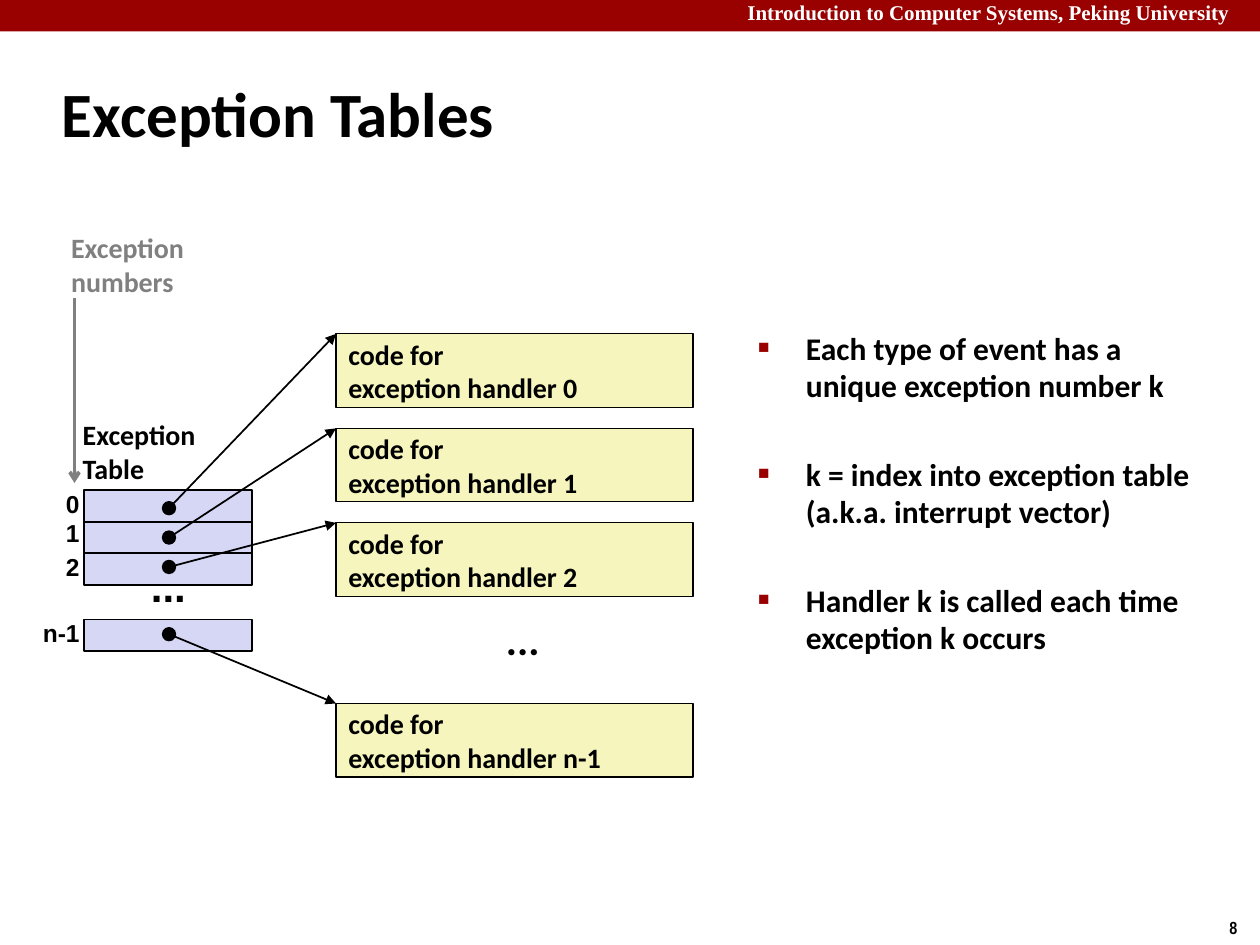
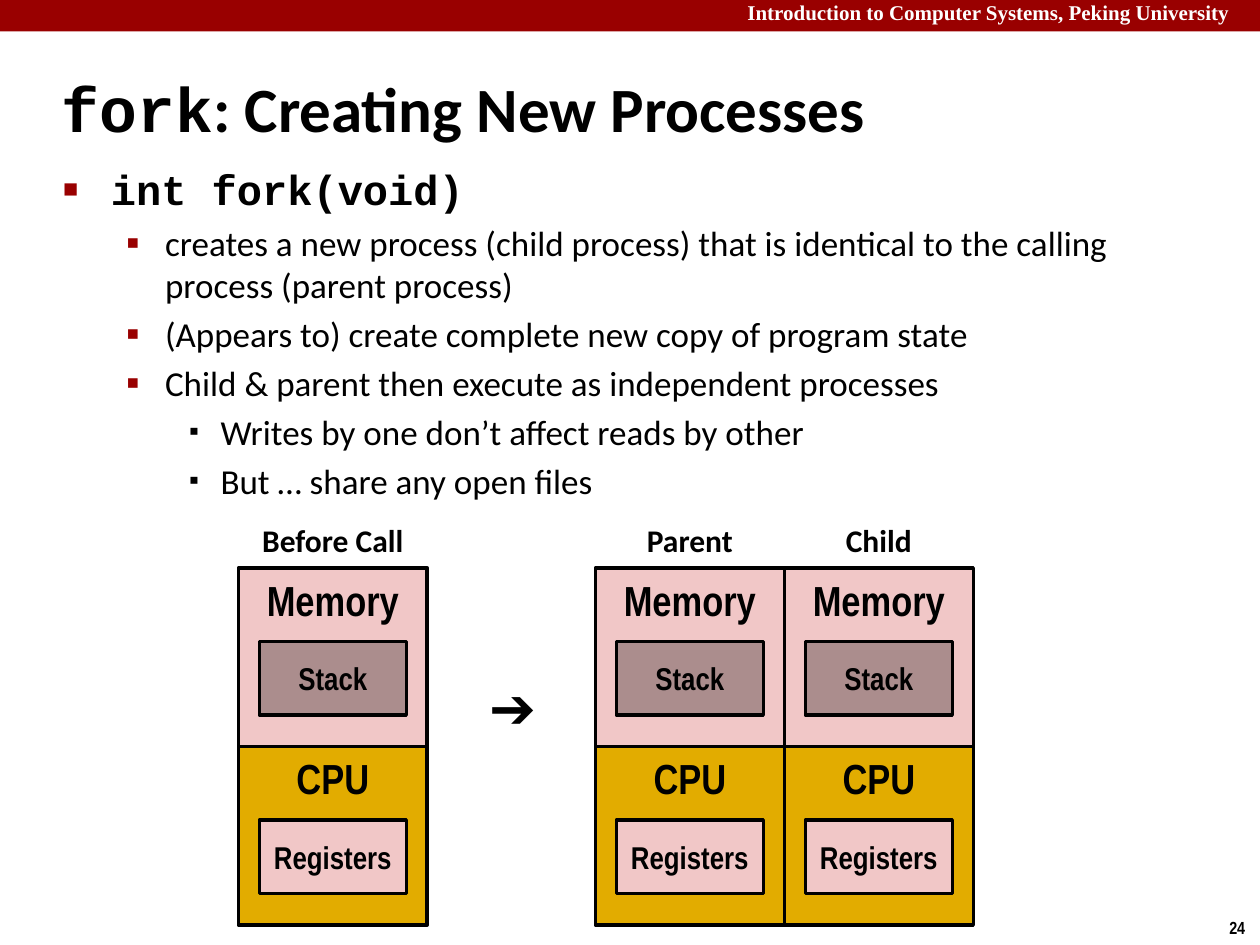
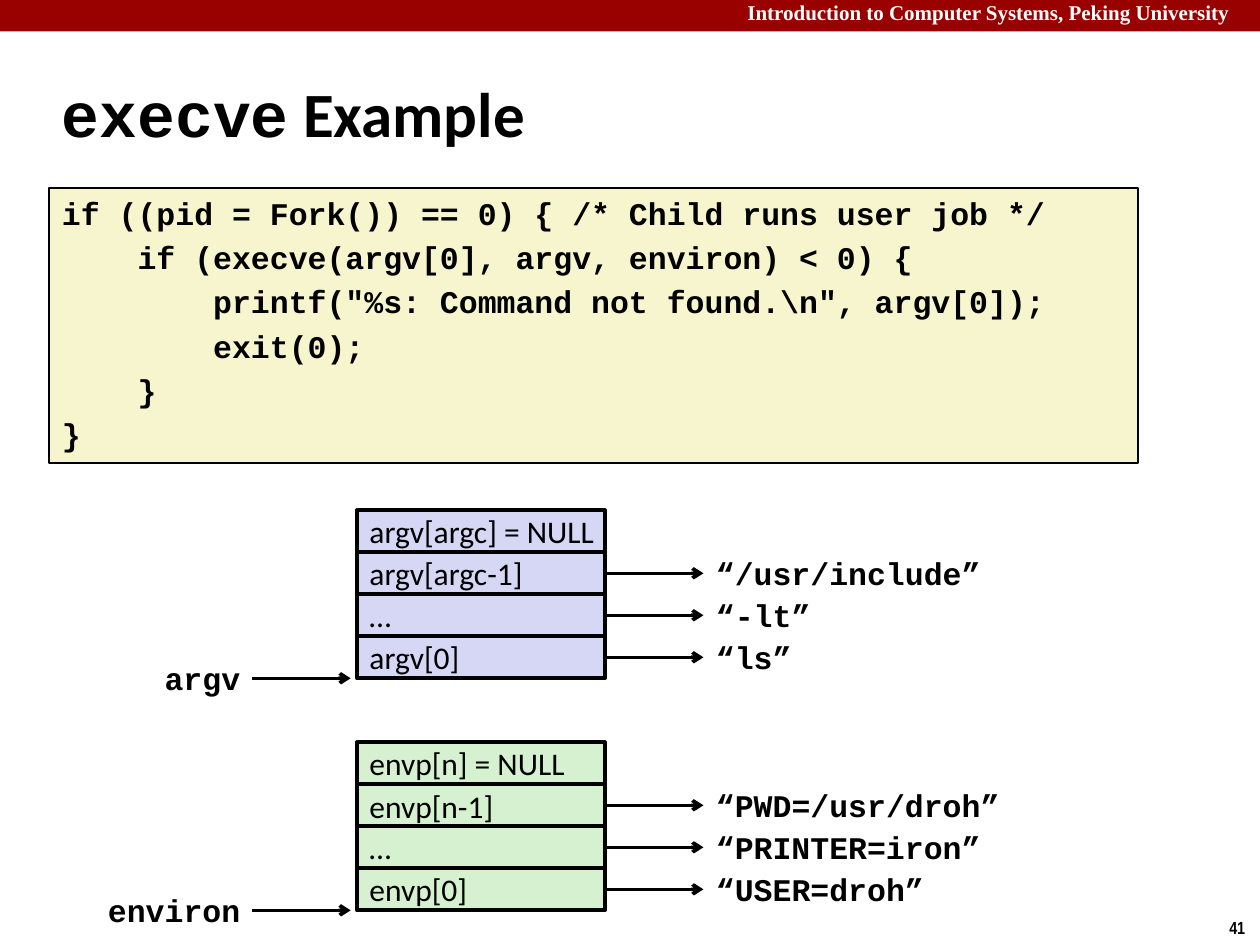
"""Three lecture slides on exceptions, fork and execve."""
from dataclasses import dataclass

from pptx import Presentation
from pptx import util as u
from pptx.dml.color import RGBColor
from pptx.enum import shapes, text
from pptx.oxml.xmlchemy import OxmlElement


@dataclass(frozen=True)
class Theme:
    """Colours, typefaces and type sizes of the whole deck."""
    band: str = "990000"
    white: str = "FFFFFF"
    ink: str = "000000"
    grey: str = "808080"
    lilac: str = "D6D6F5"
    yellow: str = "F6F5BD"
    cream: str = "F7F5CD"
    green: str = "D5F1CF"
    pink: str = "F1C7C7"
    mauve: str = "AB8D8D"
    gold: str = "E2AC00"
    sans: str = "Calibri"
    mono: str = "Courier New"
    serif: str = "Times New Roman"
    plain: str = "Arial"
    narrow: str = "Arial Narrow"
    title: int = 36
    arrow: int = 32
    large: int = 24
    item: int = 20
    body: int = 18
    small: int = 16
    index: int = 14
    header: int = 12
    number: int = 10


THEME = Theme()
COLUMNS, ROWS = 120, 90
WIDTH, HEIGHT = u.Inches(10), u.Inches(7.5)
LEFT, CENTER = text.PP_ALIGN.LEFT, text.PP_ALIGN.CENTER
TOP, MIDDLE = text.MSO_ANCHOR.TOP, text.MSO_ANCHOR.MIDDLE
FIXED, GROW = text.MSO_AUTO_SIZE.NONE, text.MSO_AUTO_SIZE.SHAPE_TO_FIT_TEXT
RECT, OVAL = shapes.MSO_SHAPE.RECTANGLE, shapes.MSO_SHAPE.OVAL
BULLETS = {
    0: dict(char="■", size=60, color=THEME.band, left=0.38, hang=0.38),
    1: dict(char="▪", size=110, color=THEME.band, left=0.81, hang=0.31),
    2: dict(char="▪", size=80, color=THEME.ink, left=1.25, hang=0.25),
}


def grid(left, top, width=0, height=0):
    """Turn grid columns and rows into slide lengths."""
    across, down = WIDTH / COLUMNS, HEIGHT / ROWS
    return [int(n) for n in (left * across, top * down, width * across, height * down)]


def style(target, values):
    """Set each named attribute of the target."""
    for name, value in values.items():
        setattr(target, name, value)


def type_look(size, face=THEME.sans, bold=True, color=THEME.ink):
    """Describe the type of a span."""
    return dict(size=u.Pt(size), name=face, bold=bold, color=color)


def style_font(font, look):
    """Apply a type description to a font."""
    style(font, {name: value for name, value in look.items() if name != "color"})
    font.color.rgb = RGBColor.from_string(look["color"])


def write(frame, lines, look, align=LEFT, gap=0, **values):
    """Write lines of one look into a text frame."""
    style(frame, values)
    for number, line in enumerate(lines):
        para = frame.add_paragraph() if number else frame.paragraphs[0]
        para.text = line
        style(para, dict(alignment=align, space_before=u.Pt(gap if number else 0)))
        for span in para.runs:
            style_font(span.font, look)


def set_bullet(para, level=None):
    """Give a paragraph the bullet of its level, or none."""
    bullet = BULLETS.get(level, dict(left=0, hang=0))
    props = para._p.get_or_add_pPr()
    props.set("marL", str(u.Inches(bullet["left"])))
    props.set("indent", str(-u.Inches(bullet["hang"])))
    if level is None:
        props.append(OxmlElement("a:buNone"))
        return
    color = OxmlElement("a:buClr")
    tint = OxmlElement("a:srgbClr")
    tint.set("val", bullet["color"])
    color.append(tint)
    props.append(color)
    for tag, name, value in (("a:buSzPct", "val", str(bullet["size"] * 1000)),
                             ("a:buFont", "typeface", THEME.plain),
                             ("a:buChar", "char", bullet["char"])):
        part = OxmlElement(tag)
        part.set(name, value)
        props.append(part)


def place(shape, area):
    """Move a placeholder to an area of the grid."""
    style(shape, dict(zip(("left", "top", "width", "height"), grid(*area))))


def paint(shape, fill, line=None):
    """Fill a shape and draw its outline if a width is given."""
    shape.fill.solid()
    shape.fill.fore_color.rgb = RGBColor.from_string(fill)
    if line:
        shape.line.color.rgb = RGBColor.from_string(THEME.ink)
        shape.line.width = u.Pt(line)
    else:
        shape.line.fill.background()


def add_box(page, area, fill, line=None, kind=RECT):
    """Add a flat shape without shadow."""
    box = page.shapes.add_shape(kind, *grid(*area))
    box.shadow.inherit = False
    paint(box, fill, line)
    return box


def add_label(page, area, lines, look, wrap=False, anchor=TOP, align=LEFT):
    """Add a text box that hugs its lines."""
    box = page.shapes.add_textbox(*grid(*area))
    write(box.text_frame, lines, look, align, word_wrap=wrap,
          auto_size=GROW, vertical_anchor=anchor)


def add_arrow(page, start, end, width=2, head="arrow", color=THEME.ink):
    """Add a straight arrow between two grid points."""
    line = page.shapes.add_connector(shapes.MSO_CONNECTOR.STRAIGHT,
                                     *grid(*start)[:2], *grid(*end)[:2])
    line.line.color.rgb = RGBColor.from_string(color)
    line.line.width = u.Pt(width)
    tip = OxmlElement("a:tailEnd")
    tip.set("type", head)
    line.line._get_or_add_ln().append(tip)
    line._element.spPr.append(OxmlElement("a:effectLst"))


def add_page(deck, number, title, area=(4.7, 5.7, 99.6, 10)):
    """Add a page with its band, header, number and title spans."""
    page = deck.slides.add_slide(deck.slide_layouts[1])
    add_box(page, (0, 0, COLUMNS, 3), THEME.band)
    add_label(page, (70, -0.6, 50, 3.6), ["Introduction to Computer Systems, Peking University"],
              type_look(THEME.header, THEME.serif, color=THEME.white), wrap=True)
    add_label(page, (115.9, 86.7, 4.1, 3.2), [number],
              type_look(THEME.number, THEME.narrow), wrap=True)
    heading = page.shapes.title
    place(heading, area)
    style(heading.text_frame, dict(vertical_anchor=MIDDLE, auto_size=FIXED))
    para = heading.text_frame.paragraphs[0]
    para.alignment = LEFT
    for words, face in title:
        span = para.add_run()
        span.text = words
        style_font(span.font, type_look(THEME.title, face))
    return page


def fill_body(page, area, lines, look, gap, levels):
    """Place the body placeholder and write its list."""
    body = page.placeholders[1]
    place(body, area)
    write(body.text_frame, lines, look, gap=gap, auto_size=FIXED, vertical_anchor=TOP)
    for para, level in zip(body.text_frame.paragraphs, levels):
        spacing = para.space_before
        para.space_before = None
        set_bullet(para, level)
        style(para, dict(space_before=spacing, level=level or 0))
    return body


def add_entry(page, name, row, label, dot, handler):
    """Add a table row with its number and its handler, and return their link."""
    add_box(page, (8, row, 16, 3), THEME.lilac, 1)
    width = 2.6 + 1.1 * len(name)
    add_label(page, (8.8 - width, label - 2, width, 4), [name],
              type_look(THEME.index, THEME.plain), anchor=MIDDLE)
    box = add_box(page, (32, handler, 34, 7), THEME.yellow, 0.75)
    write(box.text_frame, ["code for", f"exception handler {name}"],
          type_look(THEME.small), word_wrap=False, vertical_anchor=MIDDLE)
    return (16.1, dot), (32, handler)


def build_exception_tables(deck):
    """Build the page on exception tables."""
    page = add_page(deck, "8", [("Exception Tables", THEME.sans)])
    fill_body(page, (71, 30.7, 47, 34),
              ["Each type of event has a\vunique exception number k",
               "k = index into exception table\v(a.k.a. interrupt vector)",
               "Handler k is called each time\vexception k occurs"],
              type_look(THEME.body), 28.8, [0] * 3)
    entries = [("0", 46.7, 48, 48.4, 31.8), ("1", 49.7, 50.7, 51.2, 40.8),
               ("2", 52.7, 54, 54, 49.8), ("n-1", 59, 60.3, 60.4, 67)]
    links = [add_entry(page, *entry) for entry in entries]
    for start, end in links:
        add_box(page, (start[0] - 0.6, start[1] - 0.6, 1.2, 1.2), THEME.ink, 1, OVAL)
        add_arrow(page, start, end, 1, "triangle")
    for left, top, face in ((13.2, 52.8, THEME.plain), (47, 57.8, THEME.sans)):
        add_label(page, (left, top, 5.8, 6), ["..."],
                  type_look(THEME.large, face), anchor=MIDDLE)
    add_label(page, (6.7, 39.2, 13.3, 7.7), ["Exception", "Table"], type_look(THEME.small))
    add_label(page, (5.6, 21.4, 13.9, 7.7), ["Exception", "numbers"],
              type_look(THEME.small, color=THEME.grey))
    add_arrow(page, (7.1, 28.4), (7.1, 46), color=THEME.grey)


def add_process(page, left, caption):
    """Add a captioned process with its memory and its processor."""
    add_label(page, (left, 49, 18, 4.8), [caption], type_look(THEME.body), True, align=CENTER)
    parts = [("Memory", THEME.pink, "Stack", THEME.mauve),
             ("CPU", THEME.gold, "Registers", THEME.pink)]
    for number, (outer, outer_fill, inner, inner_fill) in enumerate(parts):
        top = 54.1 + 17 * number
        for area, fill, words, size, anchor in (
                ((left, top, 18, 17), outer_fill, outer, THEME.large, TOP),
                ((left + 2, top + 7, 14, 7), inner_fill, inner, THEME.body, MIDDLE)):
            box = add_box(page, area, fill, 2)
            write(box.text_frame, [words], type_look(size, THEME.narrow), CENTER,
                  word_wrap=True, vertical_anchor=anchor)


def build_fork(deck):
    """Build the page on fork."""
    page = add_page(deck, "24", [("fork", THEME.mono), (": Creating New Processes", THEME.sans)],
                    (4.7, 6.4, 94, 7.6))
    body = fill_body(page, (4.8, 15, 105.2, 70),
                     ["int fork(void)",
                      "creates a new process (child process) that is identical to the calling "
                      "process (parent process)",
                      "(Appears to) create complete new copy of program state",
                      "Child & parent then execute as independent processes",
                      "Writes by one don’t affect reads by other",
                      "But … share any open files"],
                     type_look(THEME.item, bold=False), 4, [0, 1, 1, 1, 2, 2])
    style_font(body.text_frame.paragraphs[0].runs[0].font, type_look(THEME.large, THEME.mono))
    for left, caption in ((22.7, "Before Call"), (56.7, "Parent"), (74.7, "Child")):
        add_process(page, left, caption)
    add_label(page, (45.4, 63.5, 8.2, 7.7), ["➔"], type_look(THEME.arrow, THEME.plain))


def add_code_label(page, words, middle, left=None, right=None):
    """Add a code label that starts at left or ends at right."""
    width = 2.4 + 1.8 * len(words)
    start = right - width if left is None else left
    add_label(page, (start, middle - 2.4, width, 4.8), [words], type_look(THEME.body, THEME.mono))


def add_array(page, top, fill, name, cells, strings):
    """Add an array of pointers with its name and the strings it points to."""
    for number, words in enumerate(cells):
        box = add_box(page, (34, top + 4 * number, 23.6, 4), fill, 2.25)
        write(box.text_frame, [words], type_look(THEME.body, bold=False),
              word_wrap=False, vertical_anchor=MIDDLE)
    for number, words in enumerate(strings, 1):
        middle = top + 4 * number + 2
        add_arrow(page, (57.6, middle), (67, middle))
        add_code_label(page, words, middle, left=67)
    base = top + 4 * len(cells)
    add_code_label(page, name, base, right=24.1)
    add_arrow(page, (24, base), (33.4, base))


def build_execve(deck):
    """Build the page on execve."""
    page = add_page(deck, "41", [("execve", THEME.mono), (" Example", THEME.sans)])
    code = ["if ((pid = Fork()) == 0) { /* Child runs user job */",
            "    if (execve(argv[0], argv, environ) < 0) {",
            "        printf(\"%s: Command not found.\\n\", argv[0]);",
            "        exit(0);",
            "    }",
            "}"]
    body = fill_body(page, (4.7, 17.9, 103.7, 26.2), code,
                     type_look(THEME.body, THEME.mono), 3.6, [None] * len(code))
    paint(body, THEME.cream, 1)
    add_array(page, 48.6, THEME.lilac, "argv",
              ["argv[argc] = NULL", "argv[argc-1]", "…", "argv[0]"],
              ["“/usr/include”", "“-lt”", "“ls”"])
    add_array(page, 70.7, THEME.green, "environ",
              ["envp[n] = NULL", "envp[n-1]", "…", "envp[0]"],
              ["“PWD=/usr/droh”", "“PRINTER=iron”", "“USER=droh”"])


def main():
    """Build the deck and save it."""
    deck = Presentation()
    style(deck, dict(slide_width=WIDTH, slide_height=HEIGHT))
    for build in (build_exception_tables, build_fork, build_execve):
        build(deck)
    deck.save("out.pptx")


if __name__ == "__main__":
    main()
